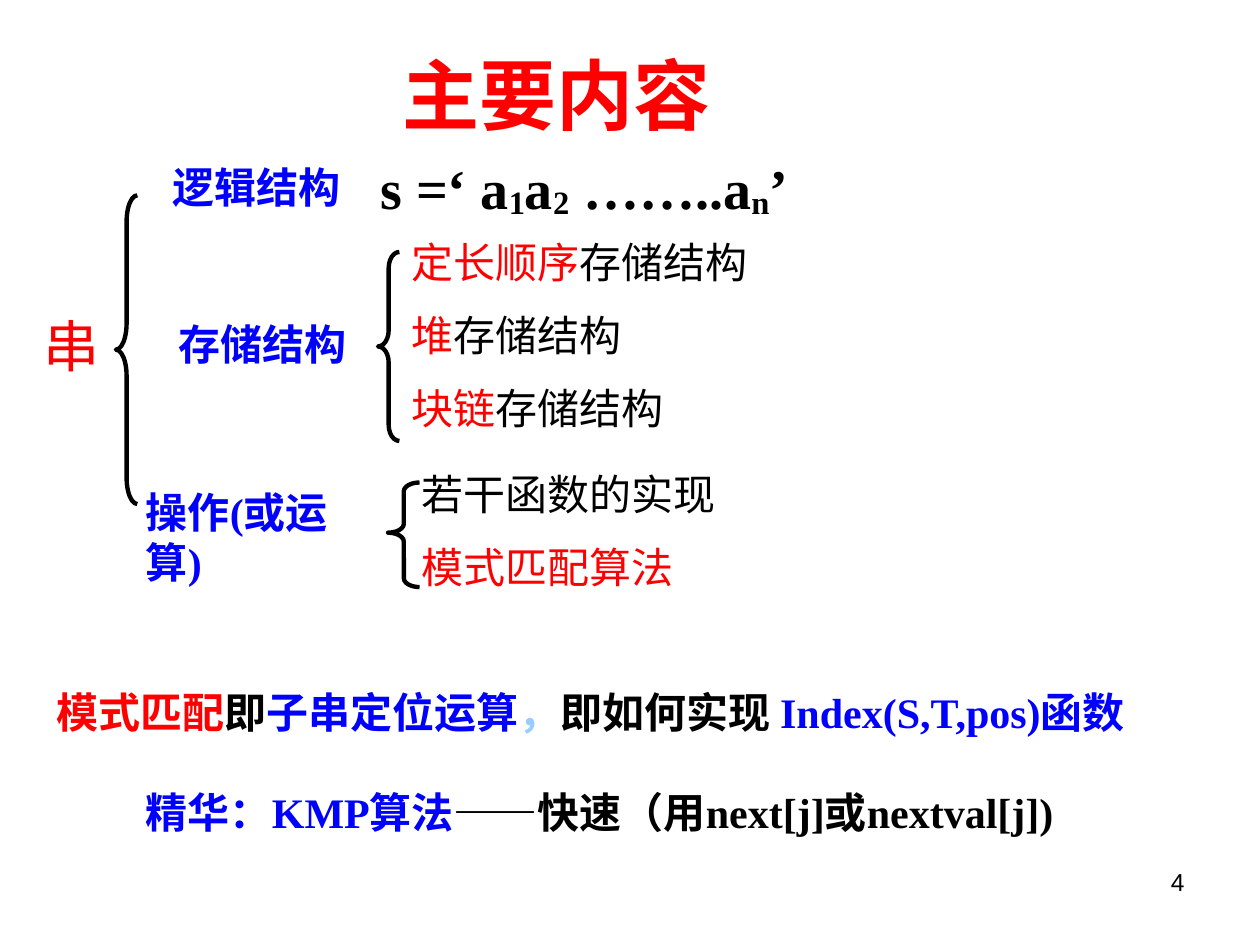
from pptx import Presentation
from pptx.dml.color import RGBColor
from pptx.enum.shapes import MSO_SHAPE
from pptx.enum.text import MSO_ANCHOR, MSO_AUTO_SIZE, PP_ALIGN
from pptx.oxml.ns import qn
from pptx.util import Inches, Pt
from lxml import etree

LEFT, CENTER, RIGHT = PP_ALIGN.LEFT, PP_ALIGN.CENTER, PP_ALIGN.RIGHT
TOP, MIDDLE = MSO_ANCHOR.TOP, MSO_ANCHOR.MIDDLE
GROW, FIXED = MSO_AUTO_SIZE.SHAPE_TO_FIT_TEXT, MSO_AUTO_SIZE.NONE
LEFT_BRACE = MSO_SHAPE.LEFT_BRACE

THEME = {
    "red": "FF0000", "blue": "0000FF", "black": "000000", "sky": "99CCFF",
    "serif": "Times New Roman", "sans": "Arial", "cjk": "Noto Sans CJK SC",
    "title": 44, "large": 32, "body": 24, "number": 14, "brace": 2.5,
}

# Runs are (text, colour[, font]); a leading "_" in the colour marks a subscript.
TITLE = [("主要内容", "red")]
ROOT = [("串", "red")]
DEFINITION = [("s =‘ a", "black"), ("1", "_black"), ("a", "black"), ("2", "_black"),
              (" ……..a", "black"), ("n", "_black"), ("’", "black")]
BRANCHES = [  # left, top, width, height, text, wrap
    (1.27, 1.23, 1.53, 0.5, "逻辑结构", False),
    (1.32, 2.48, 1.53, 0.5, "存储结构", False),
    (1.06, 3.81, 2.0, 0.9, "操作(或运算)", True),
]
LEAF_PITCH = 0.58
LEAVES = [  # left, first top, width, one list of runs per line
    (3.17, 1.83, 2.87, [
        [("定长顺序", "red"), ("存储结构", "black")],
        [("堆", "red"), ("存储结构", "black")],
        [("块链", "red"), ("存储结构", "black")],
    ]),
    (3.25, 3.67, 3.92, [
        [("若干函数的实现", "black")],
        [("模式匹配算法", "red")],
    ]),
]
BRACES = [  # left, top, width, height, curl, tip position
    (0.92, 1.55, 0.17, 2.45, 1.22, 0.5),
    (3.0, 2.0, 0.17, 1.5, 0.75, 0.5),
    (3.08, 3.83, 0.25, 0.83, 0.28, 0.48),
]
MATCHING = [("模式匹配", "red", "cjk"), ("即", "black", "cjk"),
            ("子串定位运算", "blue", "cjk"), ("，", "sky", "cjk"),
            ("即如何实现 ", "black"), ("Index(S,T,pos)函数", "blue")]
ESSENCE = [("精华：KMP算法", "blue"), ("——快速（用next[j]或nextval[j])", "black")]
NUMBER = [("4", "black")]


def color(name):
    return RGBColor.from_string(THEME[name])


def add_text(slide, box, runs, size="body", font="serif", bold=False, align=LEFT,
             anchor=TOP, wrap=True, fit=GROW):
    tf = slide.shapes.add_textbox(*map(Inches, box)).text_frame
    tf.word_wrap, tf.auto_size, tf.vertical_anchor = wrap, fit, anchor
    p = tf.paragraphs[0]
    p.alignment = align
    for text, ink, *own_font in runs:
        r = p.add_run()
        r.text = text
        r.font.size, r.font.bold = Pt(THEME[size]), bold
        r.font.color.rgb = color(ink.lstrip("_"))
        r.font.name = THEME[own_font[0] if own_font else font]
        rpr = r.font._element
        etree.SubElement(rpr, qn("a:ea"), typeface=THEME["cjk"])
        if ink.startswith("_"):
            rpr.set("baseline", "-8000")


def add_brace(slide, left, top, width, height, curl, tip):
    s = slide.shapes.add_shape(LEFT_BRACE, *map(Inches, (left, top, width, height)))
    s.adjustments[0], s.adjustments[1] = curl, tip
    s.shadow.inherit = False
    s.fill.background()
    s.line.color.rgb = color("black")
    s.line.width = Pt(THEME["brace"])


def main():
    prs = Presentation()
    prs.slide_width, prs.slide_height = Inches(10), Inches(7.5)
    slide = prs.slides.add_slide(prs.slide_layouts[6])

    add_text(slide, (0.83, 0.33, 7.17, 0.83), TITLE, size="title", font="sans",
             bold=True, align=CENTER, anchor=MIDDLE, fit=FIXED)
    add_text(slide, (0.25, 2.42, 0.64, 0.64), ROOT, size="large", wrap=False)
    add_text(slide, (2.92, 1.17, 5.67, 0.64), DEFINITION, size="large", bold=True)
    for *box, text, wrap in BRANCHES:
        add_text(slide, box, [(text, "blue")], bold=True, wrap=wrap)
    for left, top, width, lines in LEAVES:
        for i, runs in enumerate(lines):
            add_text(slide, (left, top + i * LEAF_PITCH, width, 0.5), runs)
    for brace in BRACES:
        add_brace(slide, *brace)
    add_text(slide, (0.35, 5.4, 9.42, 0.5), MATCHING, bold=True)
    add_text(slide, (1.06, 6.19, 8.11, 0.5), ESSENCE, bold=True)
    add_text(slide, (7.17, 6.83, 2.33, 0.52), NUMBER, size="number", font="sans",
             align=RIGHT, fit=FIXED)

    prs.save("out.pptx")


if __name__ == "__main__":
    main()
